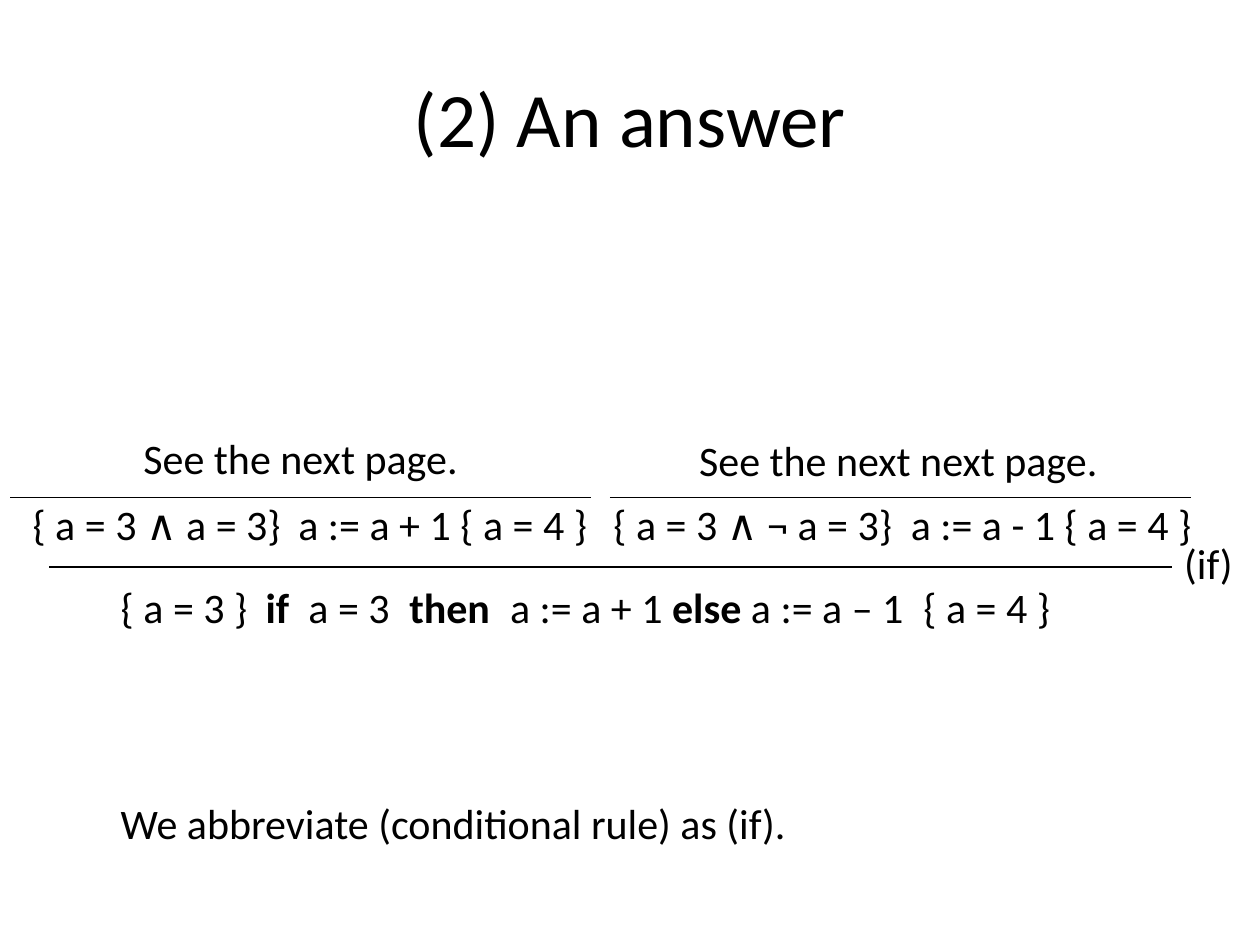
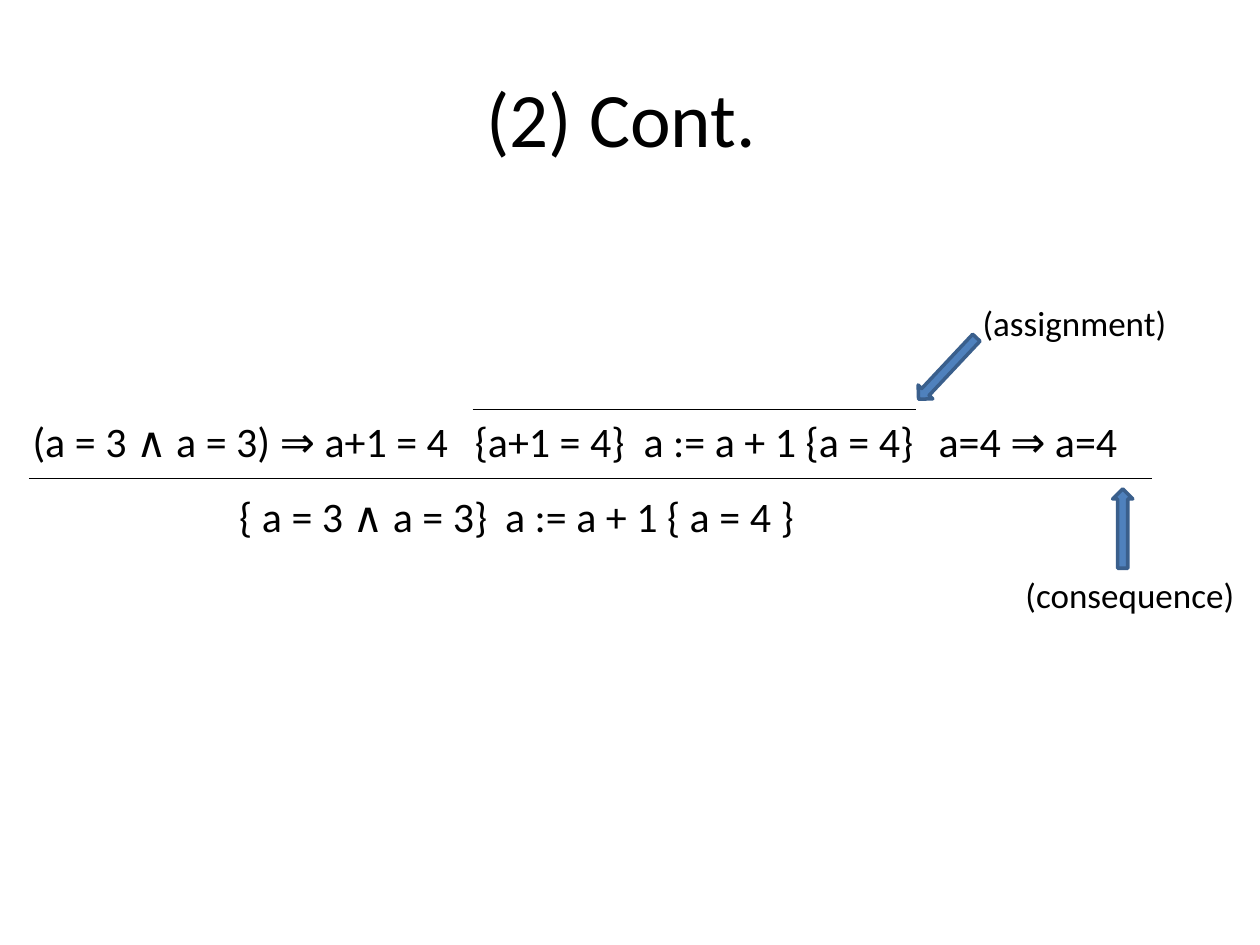
from dataclasses import dataclass

from lxml.etree import SubElement
from pptx import Presentation
from pptx.dml.color import RGBColor
from pptx.enum.shapes import MSO_CONNECTOR, MSO_SHAPE
from pptx.enum.text import MSO_ANCHOR, MSO_AUTO_SIZE, PP_ALIGN
from pptx.oxml.ns import qn
from pptx.slide import Slide
from pptx.util import Inches, Pt

BLACK = RGBColor(0x00, 0x00, 0x00)
ARROW_FILL = RGBColor(0x4F, 0x81, 0xBD)
ARROW_EDGE = RGBColor(0x3A, 0x5F, 0x8C)
FONT = "Calibri"
TITLE_SIZE, FORMULA_SIZE, RULE_NAME_SIZE = 44, 24, 20

SLIDE_WIDTH, SLIDE_HEIGHT = Inches(10), Inches(7.5)
COLUMN = SLIDE_WIDTH / 100
ROW = SLIDE_HEIGHT / 75
TRIPLE_WIDTH = 49.2
COMMAND_TAB = 21.1
KEYWORDS = ("if", "then", "else")


@dataclass(frozen=True)
class Statement:
    """Text placed in grid units; tabs are columns from the start of the text."""
    text: str
    left: float
    top: float
    width: float
    height: float = 5
    size: int = FORMULA_SIZE
    tabs: tuple[float, ...] = ()
    wrap: bool = True
    keywords: tuple[str, ...] = ()


@dataclass(frozen=True)
class InferenceLine:
    left: float
    right: float
    row: float


@dataclass(frozen=True)
class Pointer:
    left: float
    top: float
    height: float
    rotation: float
    width: float = 1.6


@dataclass(frozen=True)
class ProofPage:
    title: str
    lines: tuple[InferenceLine, ...]
    statements: tuple[Statement, ...]
    pointers: tuple[Pointer, ...] = ()


def columns(count: float) -> int:
    return round(count * COLUMN)


def rows(count: float) -> int:
    return round(count * ROW)


def split_keywords(text: str, keywords: tuple[str, ...]) -> list[tuple[str, bool]]:
    """Cut text into (part, is_keyword) pairs, keywords taken in order."""
    parts = []
    for keyword in keywords:
        before, _, text = text.partition(keyword)
        parts += [(before, False), (keyword, True)]
    return parts + [(text, False)]


def add_statement(slide: Slide, statement: Statement, is_title: bool = False) -> None:
    box = slide.shapes.add_textbox(columns(statement.left), rows(statement.top),
                                   columns(statement.width), rows(statement.height))
    frame = box.text_frame
    frame.word_wrap = statement.wrap
    frame.auto_size = MSO_AUTO_SIZE.NONE if is_title else MSO_AUTO_SIZE.SHAPE_TO_FIT_TEXT
    frame.vertical_anchor = MSO_ANCHOR.MIDDLE if is_title else MSO_ANCHOR.TOP
    paragraph = frame.paragraphs[0]
    paragraph.alignment = PP_ALIGN.CENTER if is_title else PP_ALIGN.LEFT
    if statement.tabs:
        tab_list = SubElement(paragraph._p.get_or_add_pPr(), qn("a:tabLst"))
        for tab in statement.tabs:
            SubElement(tab_list, qn("a:tab"), pos=str(columns(tab)), algn="l")
    for part, is_keyword in split_keywords(statement.text, statement.keywords):
        run = paragraph.add_run()
        run.text = part
        run.font.name = FONT
        run.font.size = Pt(statement.size)
        run.font.bold = is_keyword
        run.font.color.rgb = BLACK


def add_inference_line(slide: Slide, line: InferenceLine) -> None:
    connector = slide.shapes.add_connector(
        MSO_CONNECTOR.STRAIGHT, columns(line.left), rows(line.row),
        columns(line.right), rows(line.row))
    connector.line.color.rgb = BLACK
    connector.line.width = Pt(0.75)
    SubElement(connector._element.spPr, qn("a:effectLst"))


def add_pointer(slide: Slide, pointer: Pointer) -> None:
    arrow = slide.shapes.add_shape(
        MSO_SHAPE.DOWN_ARROW, columns(pointer.left), rows(pointer.top),
        columns(pointer.width), rows(pointer.height))
    arrow.rotation = pointer.rotation
    arrow.shadow.inherit = False
    arrow.fill.solid()
    arrow.fill.fore_color.rgb = ARROW_FILL
    arrow.line.color.rgb = ARROW_EDGE
    arrow.line.width = Pt(2)


def triple(text: str, left: float, top: float, command_tab: float = COMMAND_TAB) -> Statement:
    """A Hoare triple whose command starts at the tab."""
    return Statement(text, left, top, TRIPLE_WIDTH, tabs=(command_tab,))


def label(text: str, left: float, top: float, width: float) -> Statement:
    return Statement(text, left, top, width, wrap=False)


def rule_name(text: str, left: float, top: float, width: float) -> Statement:
    return Statement(text, left, top, width, 4.4, RULE_NAME_SIZE, wrap=False)


THEN_BRANCH = "{ a = 3 ∧ a = 3}\ta := a + 1 { a = 4 }"
ELSE_BRANCH = "{ a = 3 ∧ ¬ a = 3}\ta := a - 1 { a = 4 }"

PAGES = (
    ProofPage(
        "(2) An answer",
        lines=(InferenceLine(3.9, 93, 45),
               InferenceLine(0.8, 46.9, 39.5),
               InferenceLine(48.4, 94.5, 39.5)),
        statements=(
            label("(if)", 93, 42.2, 5.9),
            Statement("{ a = 3 }\tif\ta = 3\tthen\ta := a + 1 else a := a – 1\t{ a = 4 }",
                      8.6, 45.7, 80, tabs=(11.5, 14.9, 22.9, 30.9, 63.7),
                      keywords=KEYWORDS),
            triple(THEN_BRANCH, 1.6, 39.1),
            triple(ELSE_BRANCH, 47.7, 39.1, command_tab=23.6),
            label("See the next page.", 10.4, 33.8, 27.3),
            label("See the next next page.", 54.5, 34, 34.1),
            Statement("We abbreviate (conditional rule) as (if).", 8.6, 62.8, 81.7),
        ),
    ),
    ProofPage(
        "(2) Cont. ",
        lines=(InferenceLine(2.3, 91.4, 38), InferenceLine(37.5, 72.7, 32.5)),
        statements=(
            rule_name("(assignment)", 77, 23.4, 16.8),
            triple(THEN_BRANCH, 18, 38.4),
            Statement("(a = 3 ∧ a = 3) ⇒ a+1 = 4\t{a+1 = 4}\ta := a + 1 {a = 4}\ta=4 ⇒ a=4",
                      1.6, 32.5, 89.8, tabs=(35.1, 48.5, 71.9)),
            rule_name("(consequence)", 80.4, 45, 18.8),
        ),
        pointers=(Pointer(88.3, 38.8, 6.3, 180), Pointer(74.4, 25.9, 6.7, 43.2)),
    ),
)


def main() -> None:
    presentation = Presentation()
    presentation.slide_width, presentation.slide_height = SLIDE_WIDTH, SLIDE_HEIGHT
    blank = presentation.slide_layouts[6]
    for page in PAGES:
        slide = presentation.slides.add_slide(blank)
        add_statement(slide, Statement(page.title, 5, 3, 90, 12.5, TITLE_SIZE), is_title=True)
        for line in page.lines:
            add_inference_line(slide, line)
        for statement in page.statements:
            add_statement(slide, statement)
        for pointer in page.pointers:
            add_pointer(slide, pointer)
    presentation.save("out.pptx")


if __name__ == "__main__":
    main()
